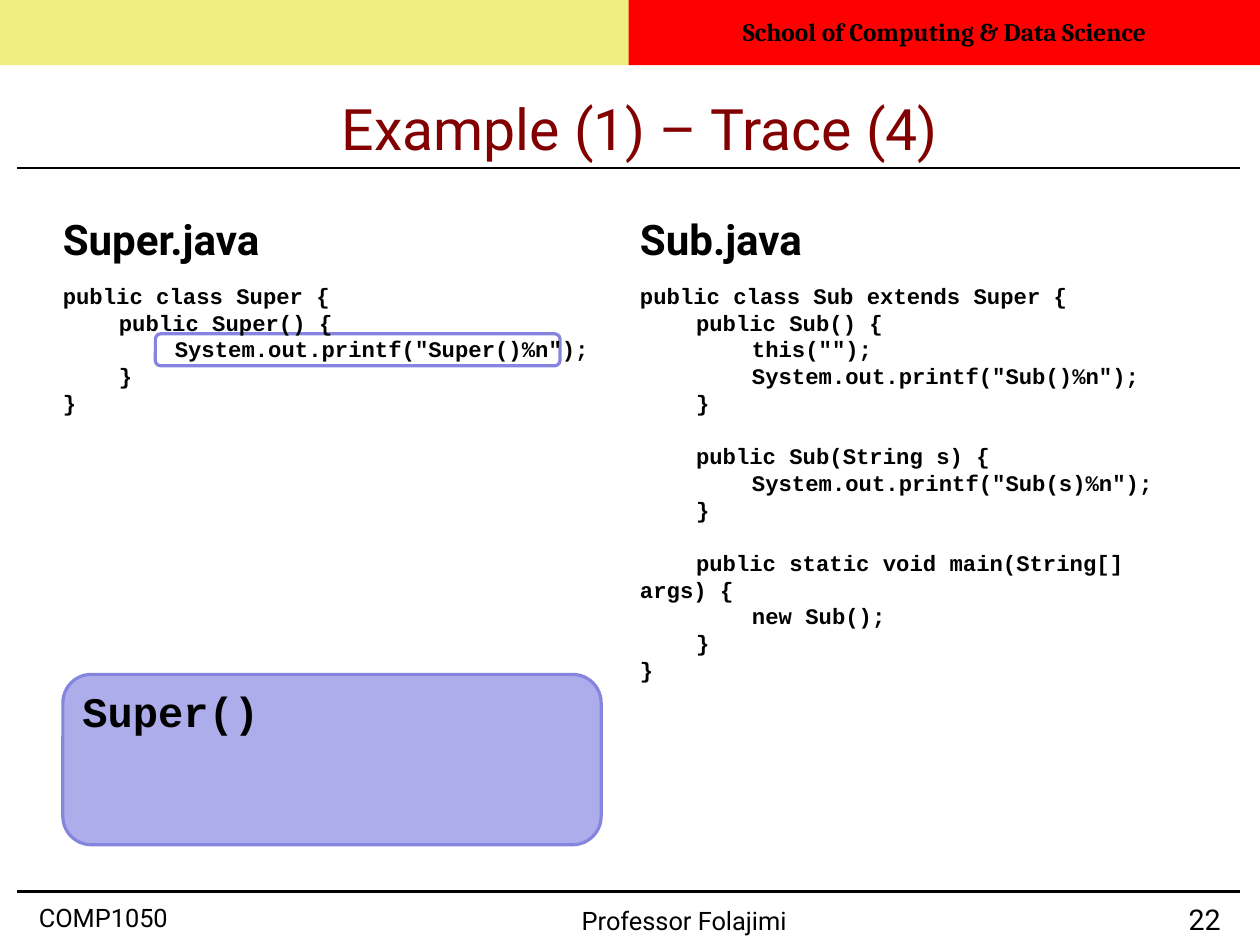
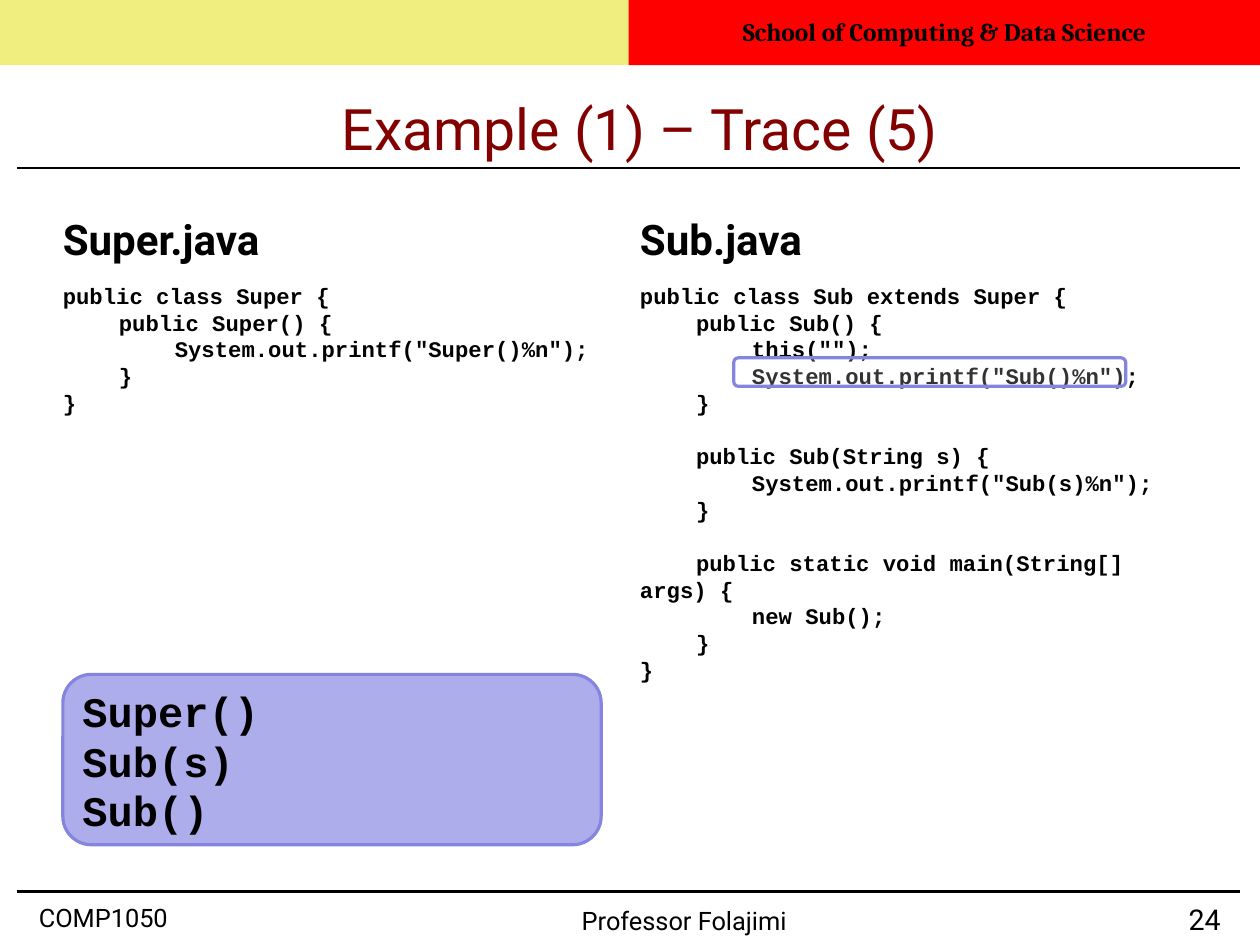
import dataclasses

import lxml.etree
import pptx
import pptx.dml.color
import pptx.enum.shapes
import pptx.enum.text
import pptx.oxml.ns
import pptx.util

Inches = pptx.util.Inches
Pt = pptx.util.Pt
ALIGN = pptx.enum.text.PP_ALIGN
ANCHOR = pptx.enum.text.MSO_ANCHOR
SHAPE = pptx.enum.shapes.MSO_SHAPE
qn = pptx.oxml.ns.qn


@dataclasses.dataclass(frozen=True)
class Theme:
    ink: str = "000000"
    title: str = "820000"
    yellow: str = "E3DE00"
    red: str = "FF0000"
    output: str = "ADADEB"
    outline: str = "8585E0"
    white: str = "FFFFFF"
    sans: str = "Roboto"
    serif: str = "Cambria"
    mono: str = "Courier New"
    title_size: float = 36
    heading_size: float = 26.5
    number_size: float = 18
    footer_size: float = 16
    code_size: float = 14


theme = Theme()
rgb = pptx.dml.color.RGBColor.from_string


def add_text(page, at, lines, size, font=theme.sans, color=theme.ink, bold=False, align=ALIGN.LEFT,
             anchor=ANCHOR.TOP, spacing=None, inset_top=0, box=None):
    """Write lines into box, or into a new text box; an empty line becomes space before the next."""
    if box is None:
        box = page.shapes.add_textbox(*map(Inches, at))
        box.text_frame.margin_left = box.text_frame.margin_right = box.text_frame.margin_bottom = 0
        box.text_frame.margin_top = Inches(inset_top)
    frame = box.text_frame
    frame.word_wrap = True
    frame.vertical_anchor = anchor
    frame.text = "\n".join(line for line in lines if line)
    starts = [i for i, line in enumerate(lines) if line]
    for para, i in zip(frame.paragraphs, starts):
        if "\t" in para.text:
            tabs = lxml.etree.SubElement(para._p.get_or_add_pPr(), qn("a:tabLst"))
            for stop in (1, 2):
                lxml.etree.SubElement(tabs, qn("a:tab"), pos=str(Inches(TAB * stop)), algn="l")
        para.alignment = align
        if spacing:
            para.line_spacing = spacing
        if i and not lines[i - 1]:
            para.space_before = Pt(1.2 * size)
        for span in para.runs:
            span.font.size = Pt(size)
            span.font.name = font
            span.font.bold = bold
            span.font.color.rgb = rgb(color)


def add_panel(page, kind, at, fill, outline=None, opacity=None):
    panel = page.shapes.add_shape(kind, *map(Inches, at))
    panel.shadow.inherit = False
    panel.fill.solid()
    panel.fill.fore_color.rgb = rgb(fill)
    if opacity:
        color = panel.element.spPr.find(".//" + qn("a:srgbClr"))
        lxml.etree.SubElement(color, qn("a:alpha"), val=str(opacity * 1000))
    if outline:
        panel.line.color.rgb = rgb(outline)
        panel.line.width = Pt(2)
    else:
        panel.line.fill.background()
    return panel


TAB = 0.49
LEFT, RIGHT, COLUMN = 0.55, 5.6, 4.87

SUPER_CODE = [
    "public class Super {",
    "\tpublic Super() {",
    "\t\tSystem.out.printf(\"Super()%n\");",
    "\t}",
    "}",
]
SUB_CODE = [
    "public class Sub extends Super {",
    "\tpublic Sub() {",
    "\t\tthis(\"\");",
    "\t\tSystem.out.printf(\"Sub()%n\");",
    "\t}",
    "",
    "\tpublic Sub(String s) {",
    "\t\tSystem.out.printf(\"Sub(s)%n\");",
    "\t}",
    "",
    "\tpublic static void main(String[] args) {",
    "\t\tnew Sub();",
    "\t}",
    "}",
]
# title, page number, printed output, highlighted statement
TRACES = [
    ("Example (1) – Trace (4)", "22", ["Super()"], (1.36, 2.92, 3.54, 0.28)),
    ("Example (1) – Trace (5)", "24", ["Super()", "Sub(s)", "Sub()"], (6.42, 3.13, 3.43, 0.25)),
]

deck = pptx.Presentation()
# The page is 11.02 by 8.27 inches; points state it exactly
deck.slide_width, deck.slide_height = Pt(793.75), Pt(595.25)
layout = deck.slide_layouts[6]
for placeholder in list(layout.placeholders):
    layout.shapes.element.remove(placeholder.element)
pages = [deck.slides.add_slide(layout) for trace in TRACES]

# Shared bands, rules and footers: drawn once, then moved to the layout
first = pages[0]
for y in (1.47, 7.8):
    rule = first.shapes.add_connector(pptx.enum.shapes.MSO_CONNECTOR.STRAIGHT,
                                      Inches(0.15), Inches(y), Inches(10.85), Inches(y))
    rule.line.color.rgb = rgb(theme.ink)
    rule.line.width = Pt(1.5)
    lxml.etree.SubElement(rule.element.spPr, qn("a:effectLst"))
add_panel(first, SHAPE.RECTANGLE, (0, 0, 5.51, 0.57), theme.yellow, opacity=50)
school = add_panel(first, SHAPE.RECTANGLE, (5.5, 0, 5.53, 0.57), theme.red)
add_text(first, None, ["School of Computing & Data Science"], theme.footer_size, theme.serif,
         bold=True, align=ALIGN.CENTER, anchor=ANCHOR.MIDDLE, spacing=0.98, box=school)
for x, y, label in ((0.34, 7.9, "COMP1050"), (5.09, 7.92, "Professor Folajimi")):
    add_text(first, (x, y, 1.93, 0.28), [label], theme.footer_size, spacing=0.93, inset_top=0.02)
for shape in list(first.shapes):
    layout.shapes.element.append(shape.element)

for page, (title, number, output, highlight) in zip(pages, TRACES):
    add_text(page, (1.35, 0.67, 8.5, 0.8), [title], theme.title_size, color=theme.title,
             align=ALIGN.CENTER, anchor=ANCHOR.MIDDLE, spacing=1.17)
    for x, heading in ((LEFT, "Super.java"), (RIGHT, "Sub.java")):
        add_text(page, (x, 1.54, COLUMN, 0.77), [heading], theme.heading_size, bold=True,
                 anchor=ANCHOR.BOTTOM)
    add_text(page, (RIGHT, 2.47, COLUMN, 4.92), SUB_CODE, theme.code_size, theme.mono, bold=True)
    console = add_panel(page, SHAPE.ROUNDED_RECTANGLE, (LEFT, 5.9, 4.71, 1.49),
                        theme.output, theme.outline)
    add_text(page, None, output, theme.heading_size, theme.mono, bold=True, spacing=0.98, box=console)
    add_panel(page, SHAPE.ROUNDED_RECTANGLE, highlight, theme.white, theme.outline, opacity=20)
    add_text(page, (LEFT, 2.47, COLUMN, 4.92), SUPER_CODE, theme.code_size, theme.mono, bold=True)
    add_text(page, (9.85, 7.9, 0.83, 0.28), [number], theme.number_size, align=ALIGN.RIGHT,
             spacing=0.93, inset_top=0.02)

deck.save("out.pptx")
